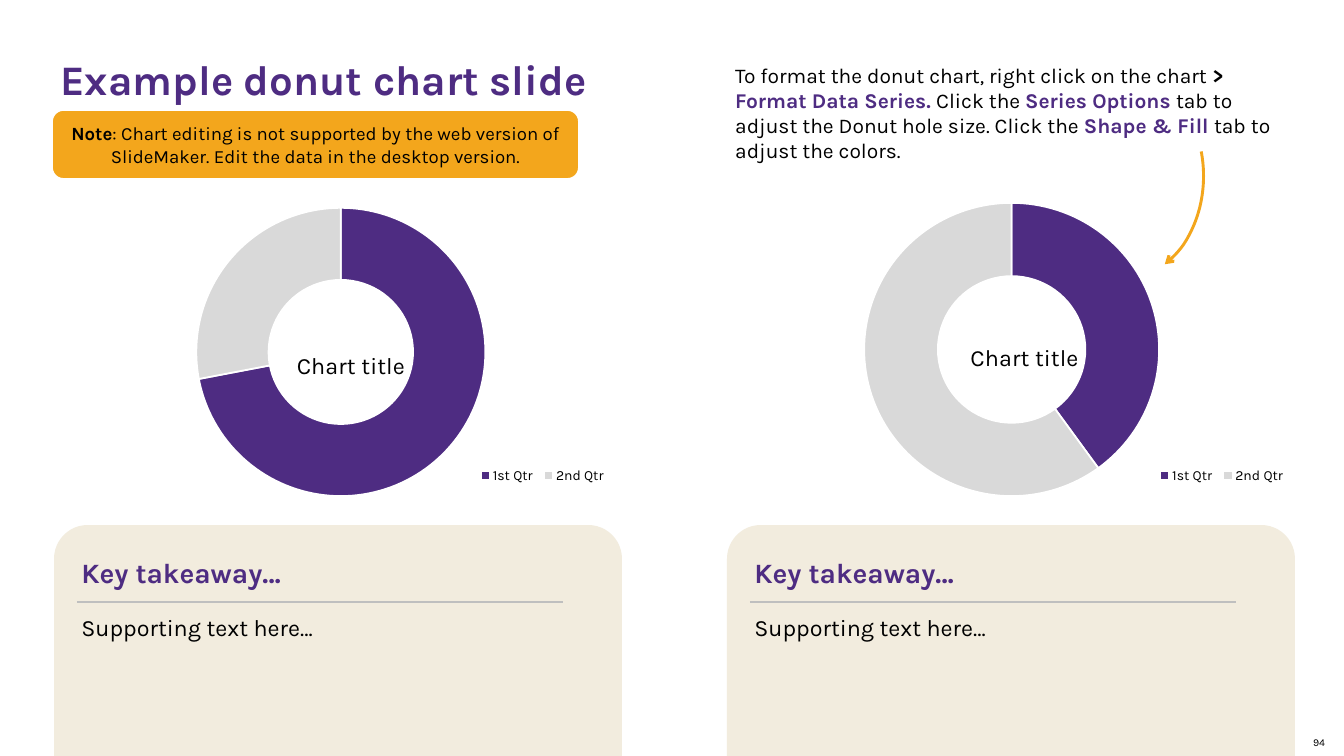
from lxml import etree
from pptx import Presentation
from pptx import util as u
from pptx.chart import data as cd
from pptx.dml.color import RGBColor
from pptx.enum import chart as ch, shapes, text
from pptx.oxml import ns

PX = 914400 / 84
FONT = "Karla"
PURPLE = RGBColor(0x4E, 0x2C, 0x82)
GOLD = RGBColor(0xF3, 0xA6, 0x1C)
CREAM = RGBColor(0xF2, 0xEC, 0xDE)
GREY = RGBColor(0xD9, 0xD9, 0xD9)
RULE = RGBColor(0xBF, 0xBF, 0xBF)
BLACK = RGBColor(0, 0, 0)
WHITE = RGBColor(255, 255, 255)
LEFT, MID = text.PP_ALIGN.LEFT, text.PP_ALIGN.CENTER
TOP, HALF = text.MSO_ANCHOR.TOP, text.MSO_ANCHOR.MIDDLE


def emu(*px):
    return [u.Emu(round(n * PX)) for n in px]


def style(font, size, color=BLACK, bold=False):
    font.name, font.size, font.bold = FONT, u.Pt(size), bold
    font.color.rgb = color


def write(shape, parts, size, align=LEFT, anchor=TOP, space=1.0):
    frame = shape.text_frame
    frame.word_wrap = True
    frame.vertical_anchor = anchor
    para = frame.paragraphs[0]
    para.alignment = align
    para.line_spacing = space
    for words, color, bold in parts:
        run = para.add_run()
        run.text = words
        style(run.font, size, color, bold)


def label(slide, box, parts, size, **kw):
    write(slide.shapes.add_textbox(*emu(*box)), parts, size, **kw)


def panel(slide, kind, box, fill):
    shape = slide.shapes.add_shape(kind, *emu(*box))
    shape.shadow.inherit = False
    shape.fill.solid()
    shape.fill.fore_color.rgb = fill
    shape.line.fill.background()
    return shape


def rule(slide, x, y, width):
    line = slide.shapes.add_connector(
        shapes.MSO_CONNECTOR.STRAIGHT, *emu(x, y, x + width, y))
    line.line.color.rgb = RULE
    line.line.width = u.Pt(1.5)
    etree.SubElement(line.element.spPr, ns.qn("a:effectLst"))


def place(chart, tag, prior, **spots):
    node = chart.element.find(".//" + ns.qn(tag))
    for old in node.findall(ns.qn("c:layout")):
        node.remove(old)
    outer = etree.Element(ns.qn("c:layout"))
    inner = etree.SubElement(outer, ns.qn("c:manualLayout"))
    if tag == "c:plotArea":
        spots = {"layoutTarget": "inner", "xMode": "edge", "yMode": "edge", **spots}
    else:
        spots = {"xMode": "edge", "yMode": "edge", **spots}
    for key, val in spots.items():
        etree.SubElement(inner, ns.qn("c:" + key)).set("val", str(val))
    first = node.find(ns.qn(prior)) if prior else None
    node.insert(0 if first is None else node.index(first) + 1, outer)


def donut(slide, x, vals, plot, title, legend):
    data = cd.CategoryChartData()
    data.categories = ["1st Qtr", "2nd Qtr"]
    data.add_series("Series 1", vals)
    chart = slide.shapes.add_chart(
        ch.XL_CHART_TYPE.DOUGHNUT, *emu(x, 202, 568, 295), data).chart
    style(chart.font, 10)
    chart.has_title = True
    head = chart.chart_title.text_frame
    head.text = "Chart title"
    style(head.paragraphs[0].runs[0].font, 20)
    chart.chart_title.include_in_layout = True
    chart.has_legend = True
    chart.legend.position = ch.XL_LEGEND_POSITION.BOTTOM
    chart.legend.include_in_layout = False
    style(chart.legend.font, 12)
    ring = chart.plots[0]
    ring.vary_by_categories = True
    for i, color in enumerate((PURPLE, GREY)):
        fmt = ring.series[0].points[i].format
        fmt.fill.solid()
        fmt.fill.fore_color.rgb = color
        fmt.line.color.rgb = WHITE
        fmt.line.width = u.Pt(1.5)
    chart.element.find(".//" + ns.qn("c:holeSize")).set("val", "75")
    place(chart, "c:plotArea", None, **dict(zip("xywh", plot)))
    place(chart, "c:title", "c:tx", **dict(zip("xy", title)))
    place(chart, "c:legend", "c:legendPos", **dict(zip("xywh", legend)))


def card(slide, x):
    shape = panel(slide, shapes.MSO_SHAPE.ROUND_2_SAME_RECTANGLE,
                  (x, 525, 568, 241), CREAM)
    shape.adjustments[0] = 0.14
    label(slide, (x + 19, 555, 523, 39),
          [("Key takeaway…", PURPLE, True)], 24, space=0.9)
    label(slide, (x + 19, 612, 523, 34),
          [("Supporting text here…", BLACK, False)], 20, space=0.9)
    rule(slide, x + 23, 602, 486)


def arrow(slide):
    arc = slide.shapes.add_shape(shapes.MSO_SHAPE.ARC, *emu(1019, 95, 207, 162))
    arc.shadow.inherit = False
    arc.adjustments[0], arc.adjustments[1] = 151.61, 200.65
    arc.rotation = 90
    arc.fill.background()
    arc.line.color.rgb = GOLD
    arc.line.width = u.Pt(2.5)
    line = arc.element.spPr.find(ns.qn("a:ln"))
    etree.SubElement(line, ns.qn("a:tailEnd")).set("type", "arrow")


def main():
    deck = Presentation()
    deck.slide_width, deck.slide_height = emu(1344, 756)
    slide = deck.slides.add_slide(deck.slide_layouts[5])
    title = slide.shapes.title
    title.left, title.top, title.width, title.height = emu(52, 49, 1239, 60)
    write(title, [("Example donut chart slide", PURPLE, True)], 36, anchor=HALF)
    label(slide, (1294, 728, 50, 28), [("94", BLACK, False)], 9,
          align=MID, anchor=HALF)
    for x in (54, 727):
        card(slide, x)
    donut(slide, 54, (72, 28), (0.25, 0.02, 0.51, 0.98),
          (0.42, 0.49), (0.74, 0.89, 0.24, 0.08))
    donut(slide, 722, (40, 60), (0.25, 0, 0.52, 1),
          (0.43, 0.46), (0.76, 0.89, 0.24, 0.08))
    label(slide, (727, 58, 564, 136), [
        ("To format the donut chart, right click on the chart ", BLACK, False),
        ("> ", BLACK, True),
        ("Format Data Series. ", PURPLE, True),
        ("Click the ", BLACK, False),
        ("Series Options ", PURPLE, True),
        ("tab to adjust the Donut hole size. Click the ", BLACK, False),
        ("Shape & Fill ", PURPLE, True),
        ("tab to adjust the colors.", BLACK, False)], 18)
    arrow(slide)
    note = panel(slide, shapes.MSO_SHAPE.ROUNDED_RECTANGLE,
                 (52, 110, 527, 69), GOLD)
    note.line.color.rgb = WHITE
    note.line.width = u.Pt(1.5)
    write(note, [
        ("Note", BLACK, True),
        (": Chart editing is not supported by the web version of SlideMaker."
         " Edit the data in the desktop version.", BLACK, False)],
        16, align=MID, anchor=HALF)
    deck.save("out.pptx")


if __name__ == "__main__":
    main()
